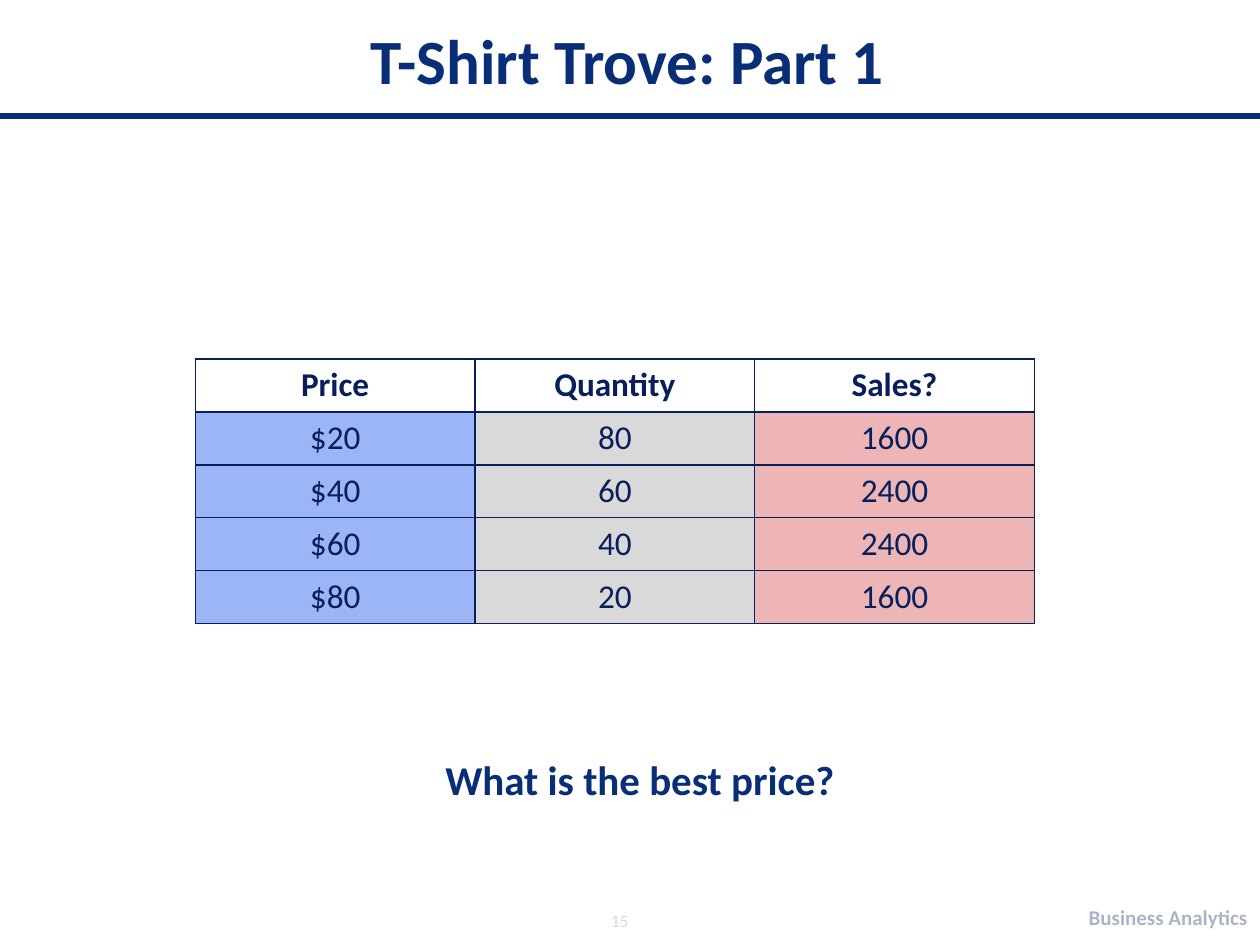
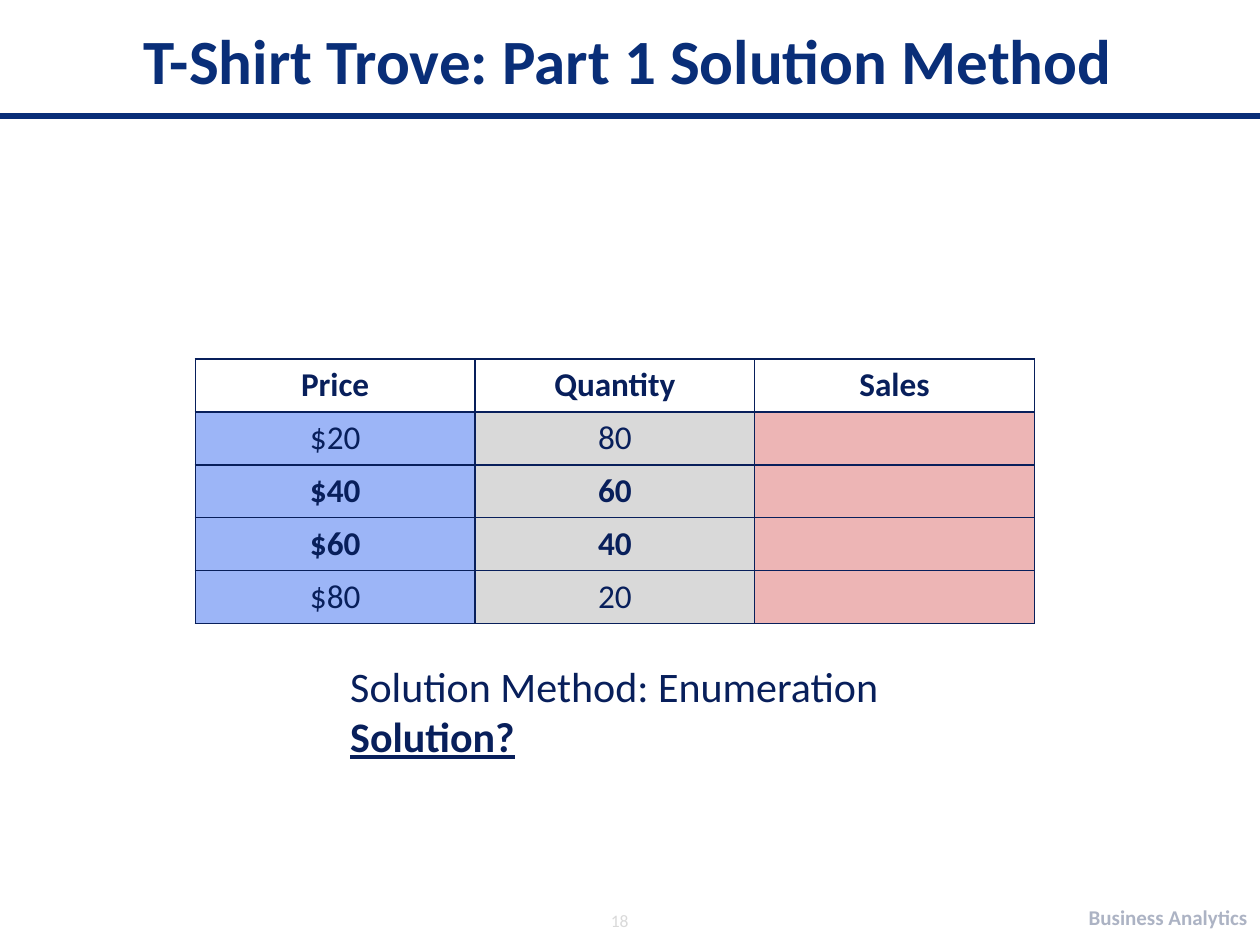
from lxml.etree import SubElement as sub
from pptx import Presentation
from pptx.dml.color import RGBColor
from pptx.enum.text import MSO_ANCHOR as Anchor, PP_ALIGN as Align
from pptx.oxml.ns import qn
from pptx.util import Inches, Pt

WIDE, HIGH = 10, 7.5
FONT = "Calibri"
NAVY, INK, PALE, FAINT = "092E78", "081F5B", "06194C", "D9D9D9"
FILLS = ["9CB5F7", "D9D9D9", "EDB5B5"]
FOOTER = "Business Analytics"
RULE = 0.92

TABLE = dict(left=1.55, top=2.85, col=2.22, row=0.42)
PRICES = ["$20", "$40", "$60", "$80"]
UNITS = ["80", "60", "40", "20"]
SALES = ["1600", "2400", "2400", "1600"]

SLIDES = [
    dict(title="T-Shirt Trove: Part 1", page="15",
         head=["Price", "Quantity", "Sales?"],
         rows=list(zip(PRICES, UNITS, SALES)), strong=[],
         notes=[dict(text="What is the best price?", box=(0.33, 5.88, 9.5, 0.6),
                     size=23.4, color=NAVY, bold=True, align=Align.CENTER,
                     anchor=Anchor.MIDDLE)]),
    dict(title="T-Shirt Trove: Part 1 Solution Method", page="18",
         head=["Price", "Quantity", "Sales"],
         rows=[(price, units, "") for price, units in zip(PRICES, UNITS)],
         strong=["$40", "$60"],
         notes=[dict(text=["Solution Method: Enumeration", "Solution?"],
                     box=(2.18, 5.19, 6.04, 0.91), size=24, inset=0.6,
                     accent="Solution?")]),
]


def rgb(code):
    return RGBColor.from_string(code)


def write(frame, text, size=19, color=INK, bold=False, align=Align.LEFT,
          anchor=Anchor.TOP, inset=0.1, accent=None, alpha=None):
    """Fill a text frame; the accent line is bold and underlined."""
    frame.word_wrap = True
    frame.vertical_anchor = anchor
    frame.margin_left = Inches(inset)
    lines = [text] if isinstance(text, str) else text
    for i, line in enumerate(lines):
        para = frame.add_paragraph() if i else frame.paragraphs[0]
        para.alignment = align
        run = para.add_run()
        run.text = line
        font = run.font
        font.name, font.size = FONT, Pt(size)
        font.bold = bold or line == accent
        font.underline = line == accent
        font.color.rgb = rgb(color)
        if alpha:
            tint = run._r.find(".//" + qn("a:srgbClr"))
            sub(tint, qn("a:alpha"), val=str(alpha * 1000))


def label(slide, text, box, **style):
    shape = slide.shapes.add_textbox(*map(Inches, box))
    write(shape.text_frame, text, **style)


def frame(slide, title, page):
    """Draw the rule, footer, title and page number."""
    y = Inches(RULE)
    rule = slide.shapes.add_connector(1, 0, y, Inches(WIDE), y)
    rule.line.color.rgb = rgb(NAVY)
    rule.line.width = Pt(3)
    sub(rule._element.spPr, qn("a:effectLst"))
    label(slide, FOOTER, (7.33, 7.08, 2.67, 0.4), size=12, color=PALE,
          bold=True, align=Align.RIGHT, anchor=Anchor.MIDDLE, alpha=33)
    label(slide, title, (0.67, 0.17, 8.62, 0.6), size=36, color=NAVY,
          bold=True, align=Align.CENTER, anchor=Anchor.MIDDLE)
    label(slide, page, (4.75, 7.17, 2.08, 0.33), size=10, color=FAINT)


def edge(cell):
    """Give a cell thin lines on all four sides."""
    props = cell._tc.get_or_add_tcPr()
    for side in "LRTB":
        line = sub(props, qn("a:ln" + side), w=str(Pt(1)))
        sub(sub(line, qn("a:solidFill")), qn("a:srgbClr"), val=INK)


def grid(slide, head, rows, strong):
    cells = [head, *rows]
    left, top, col, row = map(Inches, TABLE.values())
    table = slide.shapes.add_table(len(cells), len(head), left, top,
                                   col * len(head), row * len(cells)).table
    table.first_row = table.horz_banding = False
    for c in table.columns:
        c.width = col
    for i, line in enumerate(cells):
        table.rows[i].height = row
        for j, text in enumerate(line):
            cell = table.cell(i, j)
            edge(cell)
            cell.margin_top = cell.margin_bottom = Inches(0.03)
            cell.vertical_anchor = Anchor.MIDDLE
            if i:
                cell.fill.solid()
                cell.fill.fore_color.rgb = rgb(FILLS[j])
            else:
                cell.fill.background()
            if text:
                write(cell.text_frame, text, align=Align.CENTER,
                      bold=i == 0 or line[0] in strong)


def main():
    deck = Presentation()
    deck.slide_width, deck.slide_height = Inches(WIDE), Inches(HIGH)
    for data in SLIDES:
        slide = deck.slides.add_slide(deck.slide_layouts[6])
        frame(slide, data["title"], data["page"])
        grid(slide, data["head"], data["rows"], data["strong"])
        for note in data["notes"]:
            label(slide, **note)
    deck.save("out.pptx")


if __name__ == "__main__":
    main()
